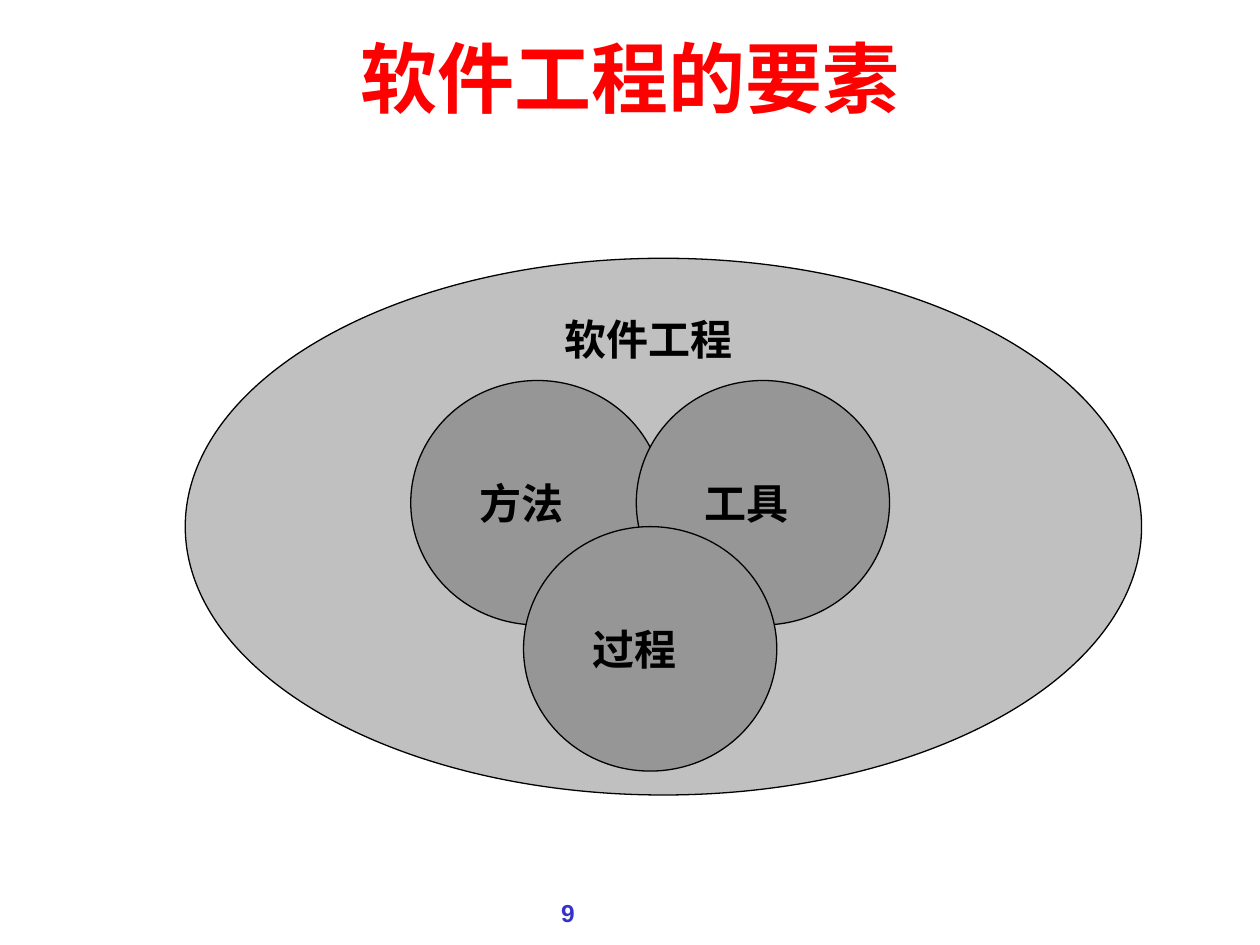
from pptx import Presentation
from pptx.dml.color import RGBColor
from pptx.enum.shapes import MSO_SHAPE as Shape
from pptx.enum.text import MSO_ANCHOR as Anchor, PP_ALIGN as Align
from pptx.util import Inches, Pt

RED = RGBColor(0xFF, 0x00, 0x00)
BLUE = RGBColor(0x33, 0x33, 0xCC)
BLACK = RGBColor(0x00, 0x00, 0x00)
LIGHT_GRAY = RGBColor(0xC0, 0xC0, 0xC0)
MID_GRAY = RGBColor(0x96, 0x96, 0x96)

# Content
TITLE = "软件工程的要素"
FIELD = "软件工程"
PAGE_NUMBER = "9"
ELEMENTS = [("方法", 0, 0), ("工具", 1, 0), ("过程", 0.5, 1)]  # text, column, row

# Grid of the overlapping circles
CIRCLE_LEFT, CIRCLE_TOP = 3.26, 3.02
CIRCLE_WIDTH, CIRCLE_HEIGHT = 2.01, 1.94
COLUMN_STEP, ROW_STEP = 1.79, 1.16


def set_text(shape, text, font="Times New Roman", size=24, color=BLACK,
             align=Align.LEFT, anchor=Anchor.TOP, left_margin=0.1):
    frame = shape.text_frame
    frame.word_wrap = True
    frame.vertical_anchor = anchor
    frame.margin_left = Inches(left_margin)
    paragraph = frame.paragraphs[0]
    paragraph.alignment = align
    run = paragraph.add_run()
    run.text = text
    run.font.name = font
    run.font.size = Pt(size)
    run.font.bold = True
    run.font.color.rgb = color


def add_box(slide, kind, box, fill, outlined=True):
    shape = slide.shapes.add_shape(kind, *map(Inches, box))
    shape.shadow.inherit = False
    shape.fill.solid()
    shape.fill.fore_color.rgb = fill
    if outlined:
        shape.line.color.rgb = BLACK
        shape.line.width = Pt(0.75)
    else:
        shape.line.fill.background()
    return shape


def add_text_box(slide, text, box, **text_format):
    shape = slide.shapes.add_textbox(*map(Inches, box))
    set_text(shape, text, font="Arial", **text_format)


def main():
    presentation = Presentation()
    presentation.slide_width, presentation.slide_height = Inches(10), Inches(7.5)
    slide = presentation.slides.add_slide(presentation.slide_layouts[6])

    # Page number and title
    add_text_box(slide, PAGE_NUMBER, (2.33, 7.08, 2.33, 0.27),
                 size=14, color=BLUE, align=Align.RIGHT)
    add_text_box(slide, TITLE, (0.5, 0.17, 9, 0.87),
                 size=44, color=RED, align=Align.CENTER, anchor=Anchor.MIDDLE)

    # Surrounding field and its label
    add_box(slide, Shape.OVAL, (1.47, 2.05, 7.59, 4.26), LIGHT_GRAY)
    label = add_box(slide, Shape.RECTANGLE, (4.38, 2.44, 1.56, 0.58),
                    LIGHT_GRAY, outlined=False)
    set_text(label, FIELD)

    # Three overlapping elements
    for text, column, row in ELEMENTS:
        left = CIRCLE_LEFT + column * COLUMN_STEP
        top = CIRCLE_TOP + row * ROW_STEP
        circle = add_box(slide, Shape.OVAL,
                         (left, top, CIRCLE_WIDTH, CIRCLE_HEIGHT), MID_GRAY)
        set_text(circle, text, anchor=Anchor.MIDDLE, left_margin=0.25)

    presentation.save("out.pptx")


if __name__ == "__main__":
    main()
